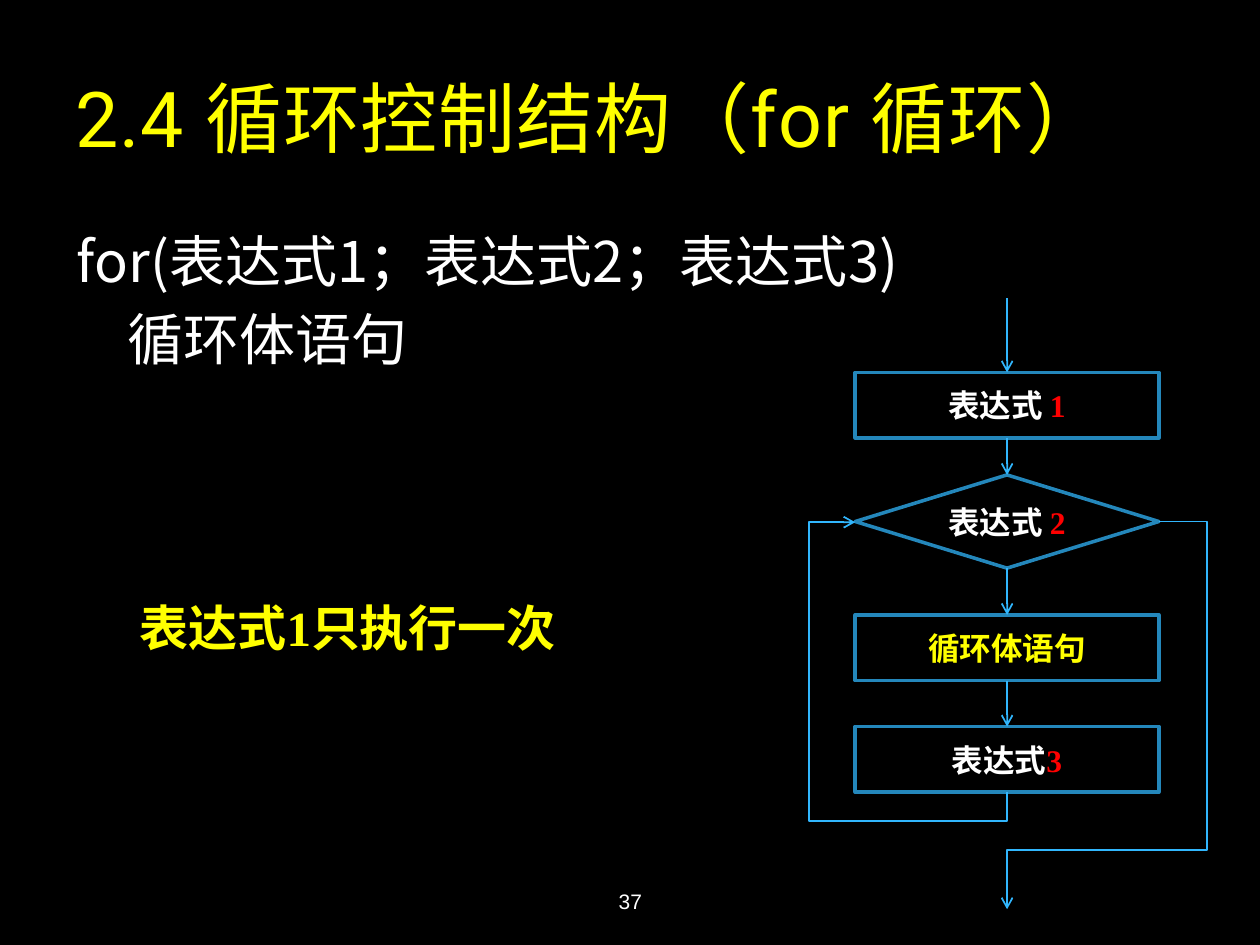
from lxml import etree
from pptx import Presentation
from pptx.dml.color import RGBColor
from pptx.enum.shapes import MSO_CONNECTOR as LINK, MSO_SHAPE as SHAPE
from pptx.enum.text import MSO_ANCHOR as ANCHOR, MSO_AUTO_SIZE as FIT, PP_ALIGN as ALIGN
from pptx.oxml.ns import qn
from pptx.util import Pt

COLORS = {"black": "000000", "white": "FFFFFF", "yellow": "FFFF00",
          "red": "FF0000", "border": "2487BB", "arrow": "31B6FD"}


def style(font, size, face, color, bold=False):
    font.size, font.name, font.bold = Pt(size), face, bold
    font.color.rgb = RGBColor.from_string(COLORS[color])


def add_arrow(shapes, kind, start, end):
    arrow = shapes.add_connector(kind, *map(Pt, start + end))
    arrow.line.color.rgb = RGBColor.from_string(COLORS["arrow"])
    arrow.line.width = Pt(1)
    etree.SubElement(arrow.line._get_or_add_ln(), qn("a:tailEnd"), type="arrow")
    etree.SubElement(arrow._element.spPr, qn("a:effectLst"))
    return arrow


deck = Presentation()
deck.slide_width, deck.slide_height = Pt(720), Pt(540)
slide = deck.slides.add_slide(deck.slide_layouts[1])
slide.background.fill.solid()
slide.background.fill.fore_color.rgb = RGBColor.from_string(COLORS["black"])

title = slide.shapes.title
title.left, title.top, title.width, title.height = Pt(36), Pt(21.6), Pt(612), Pt(90)
title.text_frame.text = "2.4 循环控制结构（for 循环）"
title.text_frame.auto_size = FIT.NONE
title.text_frame.vertical_anchor = ANCHOR.MIDDLE
heading = title.text_frame.paragraphs[0]
heading.alignment = ALIGN.LEFT
style(heading.font, 44, "Roboto", "yellow")
heading.runs[0].font._element.set("spc", "50")

syntax = slide.placeholders[1]
syntax.left, syntax.top, syntax.width, syntax.height = Pt(36.7), Pt(126), Pt(648), Pt(356.4)
syntax.text_frame.text = "for(表达式1；表达式2；表达式3)\n循环体语句\n表达式1只执行一次"
syntax.text_frame.auto_size = FIT.NONE
syntax_styles = [
    (0, 0, 6.4, (32, "Noto Sans CJK SC", "white")),
    (0, 29, 6, (32, "Noto Sans CJK SC", "white")),
    (1, 36, 129, (28, "Times New Roman", "yellow", True)),
]
for line, (level, indent, gap, look) in zip(syntax.text_frame.paragraphs, syntax_styles):
    line.level = level
    line.space_before = Pt(gap)
    style(line.font, *look)
    props = line._p.get_or_add_pPr()
    props.set("marL", str(Pt(indent)))
    props.set("indent", "0")
    props.insert_element_before(etree.Element(qn("a:buNone")), "a:tabLst", "a:defRPr", "a:extLst")

page_number = slide.shapes.add_textbox(Pt(246.2), Pt(500.4), Pt(228), Pt(28.8)).text_frame
page_number.word_wrap = True
page_number.vertical_anchor = ANCHOR.MIDDLE
page_number.text = "37"
page_number.paragraphs[0].alignment = ALIGN.CENTER
style(page_number.paragraphs[0].font, 12, "Arial", "white")

flowchart = slide.shapes.add_group_shape().shapes
left, width, center = 488.7, 173.5, 575.5
steps = [
    (SHAPE.RECTANGLE, 212.8, 37.5, [("表达式 ", "white"), ("1", "red")]),
    (SHAPE.DIAMOND, 271.4, 53.3, [("表达式 ", "white"), ("2", "red")]),
    (SHAPE.RECTANGLE, 351.4, 37.5, [("循环体语句", "yellow")]),
    (SHAPE.RECTANGLE, 415.2, 37.5, [("表达式", "white"), ("3", "red")]),
]
previous_bottom = 170.4
for kind, top, height, parts in steps:
    step = flowchart.add_shape(kind, Pt(left), Pt(top), Pt(width), Pt(height))
    step.shadow.inherit = False
    step.fill.background()
    step.line.color.rgb = RGBColor.from_string(COLORS["border"])
    step.line.width = Pt(2)
    step.text_frame.word_wrap = False
    step.text_frame.vertical_anchor = ANCHOR.MIDDLE
    label = step.text_frame.paragraphs[0]
    label.alignment = ALIGN.CENTER
    for text, color in parts:
        run = label.add_run()
        run.text = text
        style(run.font, 18, "Times New Roman", color, True)
    add_arrow(flowchart, LINK.STRAIGHT, (center, previous_bottom), (center, top))
    previous_bottom = top + height

loop_back = ((455.1 + 154, 332), (455.1, 332 + 86.8), 90, (-10900, 130600))
loop_exit = ((left + width, 298.1), (center, 519.6), 0, (-31800, 84700))
for start, end, angle, bends in (loop_back, loop_exit):
    route = add_arrow(flowchart, LINK.ELBOW, start, end)._element.spPr
    route.find(qn("a:xfrm")).set("rot", str(angle * 60000))
    geometry = route.find(qn("a:prstGeom"))
    geometry.set("prst", "bentConnector4")
    guides = geometry.find(qn("a:avLst"))
    for number, bend in enumerate(bends, 1):
        etree.SubElement(guides, qn("a:gd"), name=f"adj{number}", fmla=f"val {bend}")

deck.save("out.pptx")
